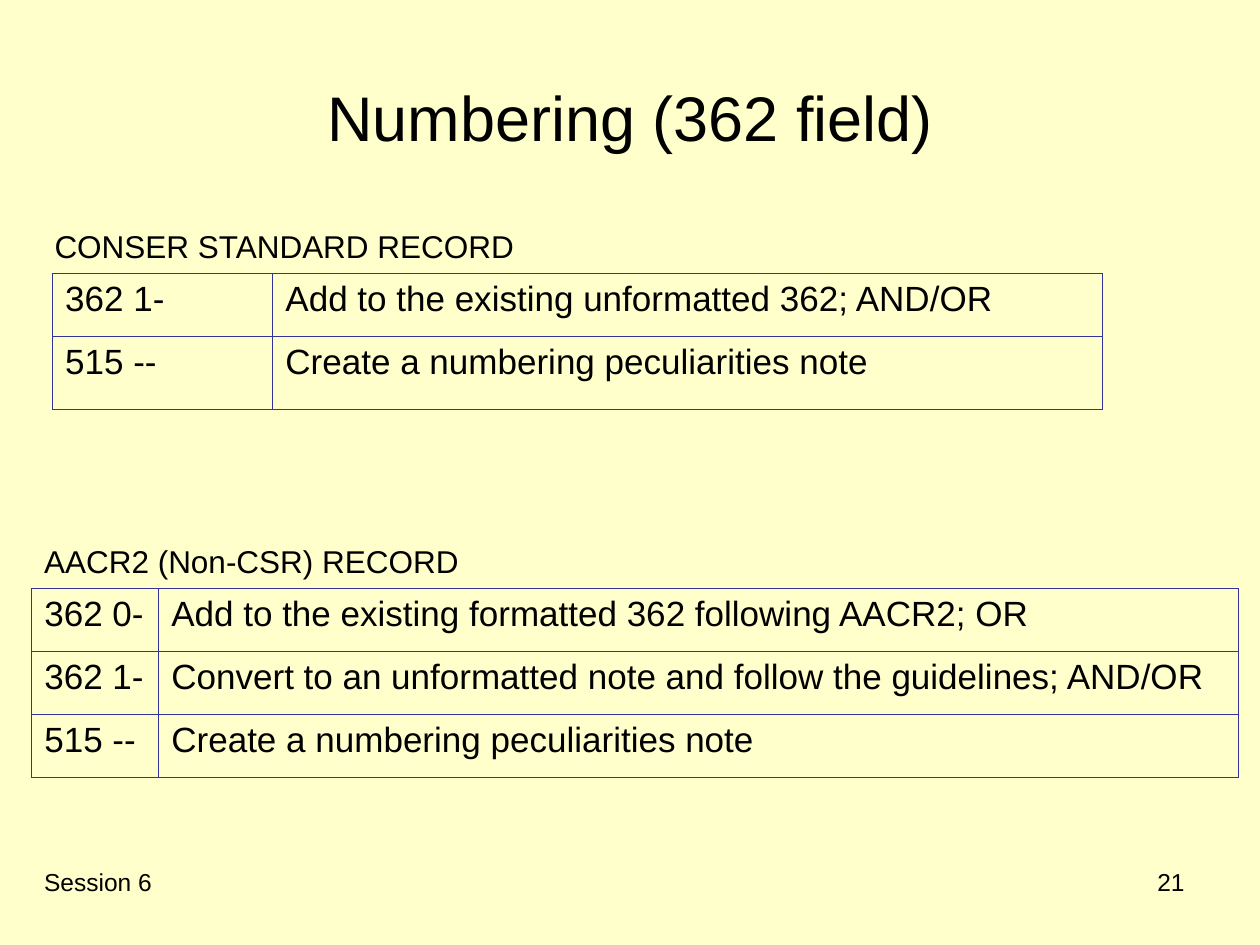
from lxml.etree import SubElement
from pptx import Presentation
from pptx.dml.color import RGBColor
from pptx.enum.text import MSO_ANCHOR as Anchor, PP_ALIGN as Align
from pptx.oxml.ns import qn
from pptx.util import Cm, Pt

COLORS = {"background": "FFFFCC", "text": "000000", "border": "333399"}
FONT = "Arial"
BORDER_WIDTH = Pt(0.75)
CAPTION_HEIGHT = 1.02
ROW_HEIGHT = 1.27


def style_text(text_frame, size, align=Align.LEFT):
    for paragraph in text_frame.paragraphs:
        paragraph.alignment = align
        for run in paragraph.runs:
            run.font.name = FONT
            run.font.size = Pt(size)
            run.font.color.rgb = RGBColor.from_string(COLORS["text"])


def add_text(slide, box, text, size, align=Align.LEFT, anchor=Anchor.TOP):
    shape = slide.shapes.add_textbox(*map(Cm, box))
    text_frame = shape.text_frame
    text_frame.word_wrap = True
    text_frame.vertical_anchor = anchor
    text_frame.text = text
    style_text(text_frame, size, align)


def add_borders(cell):
    properties = cell._tc.get_or_add_tcPr()
    for side in ("a:lnL", "a:lnR", "a:lnT", "a:lnB"):
        line = SubElement(properties, qn(side), w=str(BORDER_WIDTH))
        fill = SubElement(line, qn("a:solidFill"))
        SubElement(fill, qn("a:srgbClr"), val=COLORS["border"])


def add_field_table(slide, left, top, column_widths, row_heights, rows):
    frame = slide.shapes.add_table(
        len(rows), len(column_widths), Cm(left), Cm(top),
        Cm(sum(column_widths)), Cm(sum(row_heights)))
    table = frame.table
    table.first_row = False
    table.horz_banding = False
    for column, width in zip(table.columns, column_widths):
        column.width = Cm(width)
    for row, height, texts in zip(table.rows, row_heights, rows):
        row.height = Cm(height)
        for cell, text in zip(row.cells, texts):
            cell.text = text
            style_text(cell.text_frame, 20)
            add_borders(cell)
            cell.fill.background()


def add_record(slide, caption, caption_box, table_left, column_widths,
               row_heights, rows):
    """A caption with its table of fields just below."""
    left, top, width = caption_box
    add_text(slide, (left, top, width, CAPTION_HEIGHT), caption, 18)
    add_field_table(slide, table_left, top + CAPTION_HEIGHT + 0.04,
                    column_widths, row_heights, rows)


def add_footer(slide, left, top, width, height, session, number):
    number_width = 5.92
    add_text(slide, (left, top, 8.05, height), session, 14)
    add_text(slide, (left + width - number_width, top, number_width, height),
             number, 14, Align.RIGHT)


def main():
    presentation = Presentation()
    presentation.slide_width = Cm(25.4)
    presentation.slide_height = Cm(19.05)
    slide = presentation.slides.add_slide(presentation.slide_layouts[6])
    background = slide.background.fill
    background.solid()
    background.fore_color.rgb = RGBColor.from_string(COLORS["background"])

    # Title
    add_text(slide, (1.27, 0.76, 22.86, 3.18), "Numbering (362 field)", 36,
             Align.CENTER, Anchor.MIDDLE)

    # Record types
    peculiarities = ("515 --", "Create a numbering peculiarities note")
    add_record(
        slide, "CONSER STANDARD RECORD", (0.85, 4.45, 13.76), 1.06,
        (4.44, 16.73), (ROW_HEIGHT, 1.48),
        [("362 1-", "Add to the existing unformatted 362; AND/OR"),
         peculiarities])
    add_record(
        slide, "AACR2 (Non-CSR) RECORD", (0.64, 10.8, 11), 0.64,
        (2.56, 21.77), (ROW_HEIGHT,) * 3,
        [("362 0-", "Add to the existing formatted 362 following AACR2; OR"),
         ("362 1-", "Convert to an unformatted note and follow the "
                    "guidelines; AND/OR"),
         peculiarities])

    # Footer
    add_footer(slide, 0.64, 17.35, 23.49, 1.32, "Session 6", "21")

    presentation.save("out.pptx")


if __name__ == "__main__":
    main()
